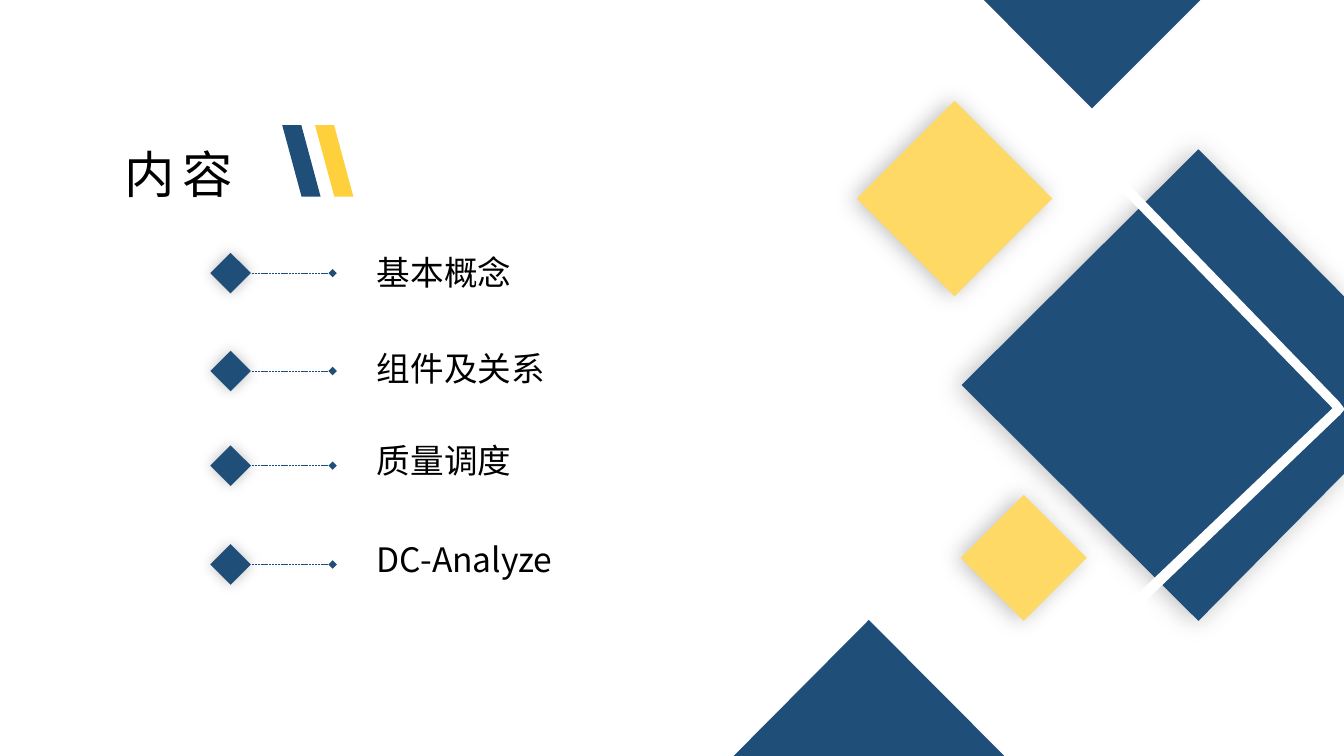
from lxml.etree import SubElement
from pptx import Presentation
from pptx.dml.color import RGBColor
from pptx.enum.dml import MSO_LINE_DASH_STYLE as DASH
from pptx.enum.shapes import MSO_CONNECTOR, MSO_SHAPE as SHAPE
from pptx.enum.text import MSO_ANCHOR, MSO_AUTO_SIZE, PP_ALIGN
from pptx.oxml.ns import qn
from pptx.util import Pt

FONT = "Noto Sans CJK SC"
BLACK = RGBColor(0x00, 0x00, 0x00)
WHITE = RGBColor(0xFF, 0xFF, 0xFF)
NAVY = RGBColor(0x1F, 0x4E, 0x79)
YELLOW = RGBColor(0xFF, 0xD9, 0x66)
GOLD = RGBColor(0xFE, 0xD0, 0x3C)

# Label, centre of the marker, top of the label
TOPICS = [
    ("基本概念", 195.1, 176.4),
    ("组件及关系", 265, 244.8),
    ("质量调度", 332.6, 311),
    ("DC-Analyze", 403.2, 381.6),
]
MARKER = 29
BIG_DIAMOND = [(856.1, 106.6), (960, 211.6), (960, 338.5), (856.1, 443.5), (686.9, 275)]
STRIPES = [
    [(803.5, 128.9), (956.9, 287.3), (952.6, 292.3), (798.5, 133.9)],
    [(952.6, 290.9), (957.6, 295.9), (804.2, 442.8), (799.2, 437)],
    [(956.9, 287.3), (960, 291.6), (960, 293), (956.9, 296.6), (951.8, 291.6)],
]


def paint(s, color, blur=0, dist=0):
    """Fill without outline; a blur gives a soft shadow to the left."""
    s.fill.solid()
    s.fill.fore_color.rgb = color
    s.line.fill.background()
    s.shadow.inherit = False
    if blur:
        effects = s._element.spPr.find(qn("a:effectLst"))
        shadow = SubElement(effects, qn("a:outerShdw"), blurRad=str(Pt(blur)),
                            dist=str(Pt(dist)), dir="10800000",
                            algn="ctr", rotWithShape="0")
        black = SubElement(shadow, qn("a:srgbClr"), val="000000")
        SubElement(black, qn("a:alpha"), val="25000")


def add_diamond(slide, left, top, size, color, blur, dist=0):
    s = slide.shapes.add_shape(SHAPE.DIAMOND, Pt(left), Pt(top), Pt(size), Pt(size))
    paint(s, color, blur, dist)


def add_polygon(slide, points, color, blur=0, dist=0):
    start, *rest = [(Pt(x), Pt(y)) for x, y in points]
    builder = slide.shapes.build_freeform(*start)
    builder.add_line_segments(rest, close=True)
    paint(builder.convert_to_shape(), color, blur, dist)


def add_slash(slide, left, color):
    s = slide.shapes.add_shape(SHAPE.PARALLELOGRAM, Pt(left), Pt(89.3), Pt(27.4), Pt(51.1))
    s.adjustments[0] = 0.503
    s._element.spPr.xfrm.set("flipH", "1")
    paint(s, color)


def write(s, text, size, spacing=0):
    tf = s.text_frame
    tf.word_wrap = False
    tf.auto_size = MSO_AUTO_SIZE.SHAPE_TO_FIT_TEXT
    tf.vertical_anchor = MSO_ANCHOR.TOP
    p = tf.paragraphs[0]
    p.alignment = PP_ALIGN.LEFT
    r = p.add_run()
    r.text = text
    r.font.size = Pt(size)
    r.font.color.rgb = BLACK
    r.font.name = FONT
    props = r.font._element
    SubElement(props, qn("a:ea"), typeface=FONT)
    if spacing:
        props.set("spc", str(spacing * 100))


def add_leader(slide, y):
    s = slide.shapes.add_connector(MSO_CONNECTOR.STRAIGHT, Pt(180), Pt(y), Pt(237.6), Pt(y))
    s.line.color.rgb = NAVY
    s.line.width = Pt(0.5)
    s.line.dash_style = DASH.SQUARE_DOT
    SubElement(s.line._get_or_add_ln(), qn("a:tailEnd"), type="diamond")
    SubElement(s._element.spPr, qn("a:effectLst"))


def add_topic(slide, label, middle, text_top):
    add_diamond(slide, 150.2, middle - MARKER / 2, MARKER, NAVY, 10)
    add_leader(slide, middle)
    s = slide.shapes.add_textbox(Pt(262.1), Pt(text_top), Pt(148), Pt(36))
    write(s, label, 24)


def main():
    prs = Presentation()
    prs.slide_width, prs.slide_height = Pt(960), Pt(540)
    slide = prs.slides.add_slide(prs.slide_layouts[5])
    slide.background.fill.solid()
    slide.background.fill.fore_color.rgb = WHITE

    # Decoration on the right
    add_diamond(slide, 612, 72, 139.7, YELLOW, 16, 3)
    add_polygon(slide, [(702.7, 0), (857.5, 0), (780, 77.5)], NAVY)
    add_polygon(slide, [(620.6, 442.8), (717.4, 540), (524, 540)], NAVY)
    add_polygon(slide, BIG_DIAMOND, NAVY, 18, 3)
    for points in STRIPES:
        add_polygon(slide, points, WHITE)
    add_diamond(slide, 686.2, 353.5, 90, YELLOW, 16, 3)

    # Title with two slashes
    title = slide.shapes.title
    title.left, title.top, title.width, title.height = Pt(81.4), Pt(98.6), Pt(98.6), Pt(51.1)
    write(title, "内容", 36, spacing=6)
    add_slash(slide, 201.6, NAVY)
    add_slash(slide, 225, GOLD)

    # Topics
    for topic in TOPICS:
        add_topic(slide, *topic)

    prs.save("out.pptx")


if __name__ == "__main__":
    main()
